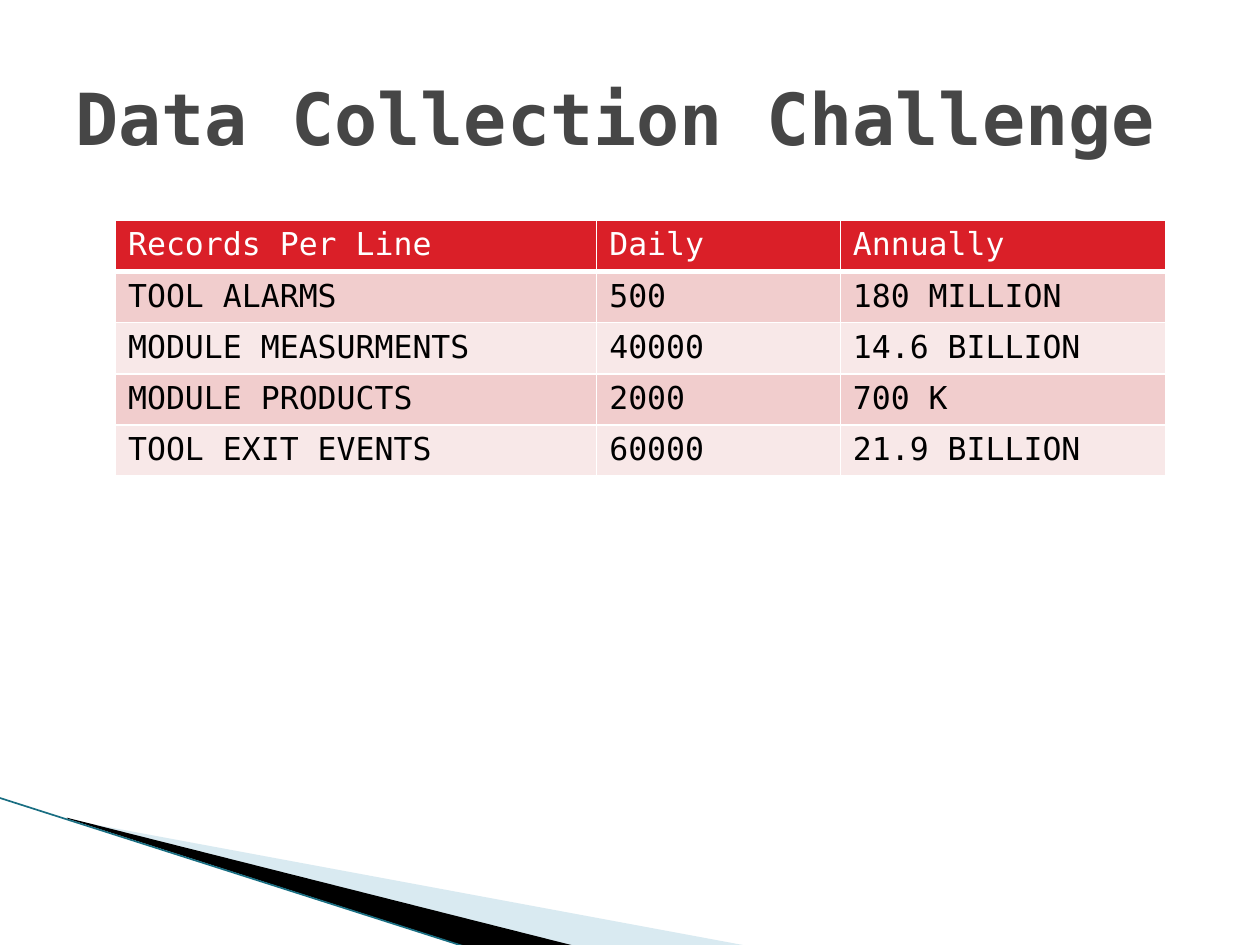
from dataclasses import dataclass

from lxml import etree
from pptx import Presentation
from pptx.dml.color import RGBColor
from pptx.enum.shapes import MSO_CONNECTOR
from pptx.enum.text import MSO_ANCHOR
from pptx.oxml.ns import qn
from pptx.util import Pt

STRAIGHT = MSO_CONNECTOR.STRAIGHT
MIDDLE = MSO_ANCHOR.MIDDLE
BLANK_LAYOUT = 6


@dataclass(frozen=True)
class Theme:
    font: str = "DejaVu Sans Mono"
    title_size: float = 41
    table_size: float = 18
    title: str = "464646"
    header: str = "DA1F28"
    header_text: str = "FFFFFF"
    body_text: str = "000000"
    bands: tuple = ("F1CDCD", "F8E8E8")
    border: str = "FFFFFF"
    pale_wedge: str = "A0CBDC"
    dark_wedge: str = "000000"
    edge: str = "196E82"


class SlideBuilder:
    def __init__(self, page, theme):
        self.page = page
        self.theme = theme

    def style(self, para, size, color, bold=False):
        for span in para.runs:
            span.font.name = self.theme.font
            span.font.size = Pt(size)
            span.font.bold = bold
            span.font.color.rgb = RGBColor.from_string(color)

    def title(self, text, left, top, width, height):
        box = self.page.shapes.add_textbox(Pt(left), Pt(top), Pt(width), Pt(height))
        frame = box.text_frame
        frame.word_wrap = True
        frame.vertical_anchor = MIDDLE
        frame.text = text
        self.style(frame.paragraphs[0], self.theme.title_size, self.theme.title, True)

    def wedge(self, points, color, opacity=100):
        start, *rest = [(Pt(x), Pt(y)) for x, y in points]
        builder = self.page.shapes.build_freeform(*start)
        builder.add_line_segments(rest, close=True)
        shape = builder.convert_to_shape()
        shape.shadow.inherit = False
        shape.line.fill.background()
        shape.fill.solid()
        shape.fill.fore_color.rgb = RGBColor.from_string(color)
        if opacity < 100:
            tint = shape.fill._xPr.find(".//" + qn("a:srgbClr"))
            etree.SubElement(tint, qn("a:alpha"), val=str(opacity * 1000))

    def line(self, start, end, color, width):
        points = [Pt(value) for value in (*start, *end)]
        connector = self.page.shapes.add_connector(STRAIGHT, *points)
        connector.line.color.rgb = RGBColor.from_string(color)
        connector.line.width = Pt(width)
        etree.SubElement(connector._element.spPr, qn("a:effectLst"))

    def borders(self, cell, bottom):
        properties = cell._tc.get_or_add_tcPr()
        for side, width in (("L", 1), ("R", 1), ("T", 1), ("B", bottom)):
            edge = etree.SubElement(properties, qn(f"a:ln{side}"), w=str(Pt(width)))
            fill = etree.SubElement(edge, qn("a:solidFill"))
            etree.SubElement(fill, qn("a:srgbClr"), val=self.theme.border)

    def table(self, records, left, top, widths, row_height):
        theme = self.theme
        table = self.page.shapes.add_table(
            len(records), len(widths), Pt(left), Pt(top),
            Pt(sum(widths)), Pt(row_height * len(records)),
        ).table
        table.horz_banding = False
        for column, width in zip(table.columns, widths):
            column.width = Pt(width)
        for index, (row, record) in enumerate(zip(table.rows, records)):
            row.height = Pt(row_height)
            is_header = index == 0
            fill = theme.header if is_header else theme.bands[(index - 1) % 2]
            color = theme.header_text if is_header else theme.body_text
            for cell, text in zip(row.cells, record):
                self.borders(cell, 3 if is_header else 1)
                cell.fill.solid()
                cell.fill.fore_color.rgb = RGBColor.from_string(fill)
                cell.text_frame.text = text
                self.style(cell.text_frame.paragraphs[0], theme.table_size, color)


def main():
    deck = Presentation()
    deck.slide_width, deck.slide_height = Pt(720), Pt(540)
    page = deck.slides.add_slide(deck.slide_layouts[BLANK_LAYOUT])
    theme = Theme()
    slide = SlideBuilder(page, theme)

    slide.wedge([(39.6, 468.5), (428.4, 540.7), (328.3, 540.7), (39.6, 468)],
                theme.pale_wedge, 40)
    slide.wedge([(38.2, 467.3), (329, 540.7), (267.8, 541.4), (38.9, 468)],
                theme.dark_wedge)
    slide.line((-0.7, 455.8), (267.1, 541.4), theme.edge, 0.95)

    slide.title("Data Collection Challenge", 36, 21.6, 648, 90)
    records = [
        ("Records Per Line", "Daily", "Annually"),
        ("TOOL ALARMS", "500", "180 MILLION"),
        ("MODULE MEASURMENTS", "40000", "14.6 BILLION"),
        ("MODULE PRODUCTS", "2000", "700 K"),
        ("TOOL EXIT EVENTS", "60000", "21.9 BILLION"),
    ]
    slide.table(records, 66, 126, (275, 139.2, 185.8), 29.2)
    deck.save("out.pptx")


if __name__ == "__main__":
    main()
